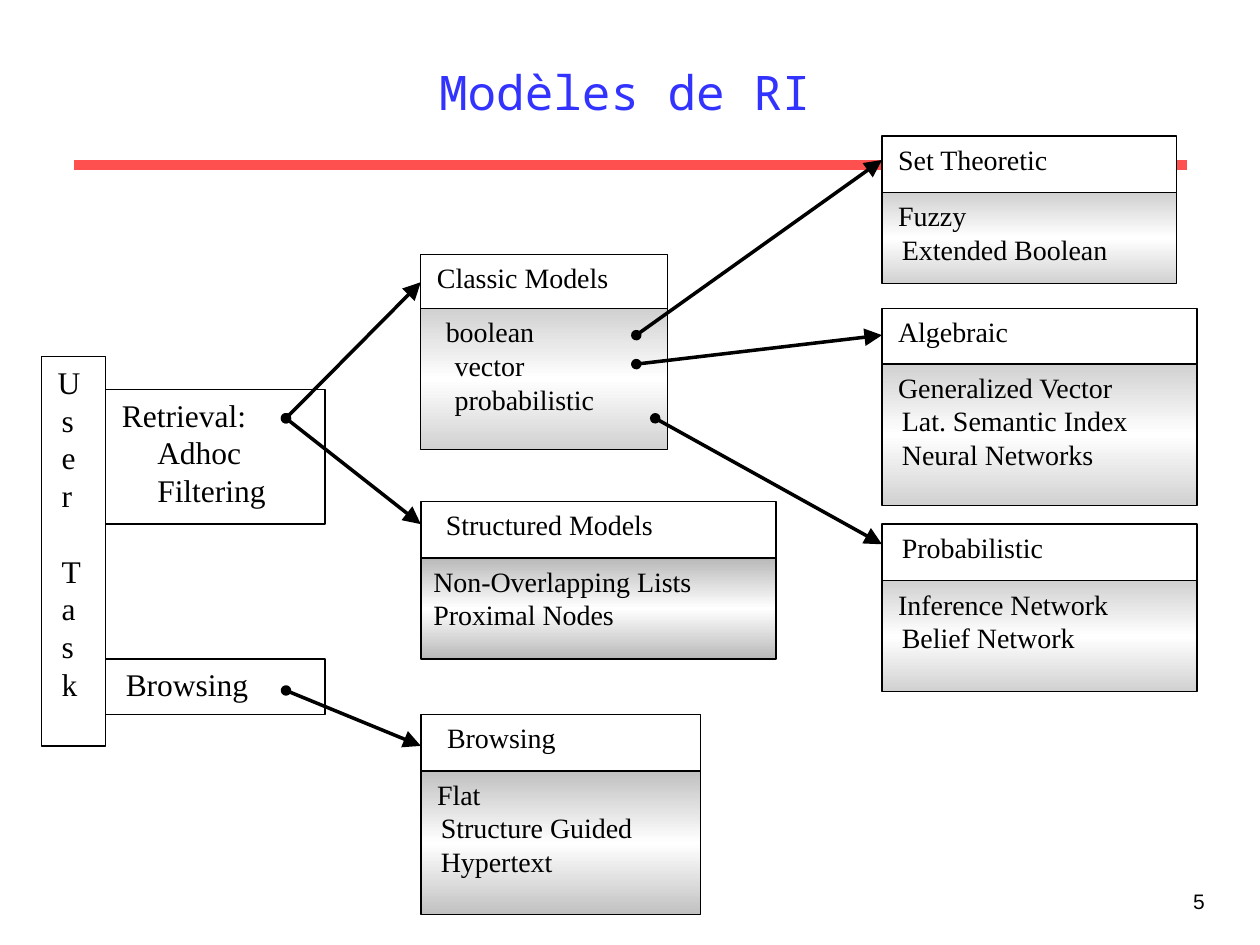
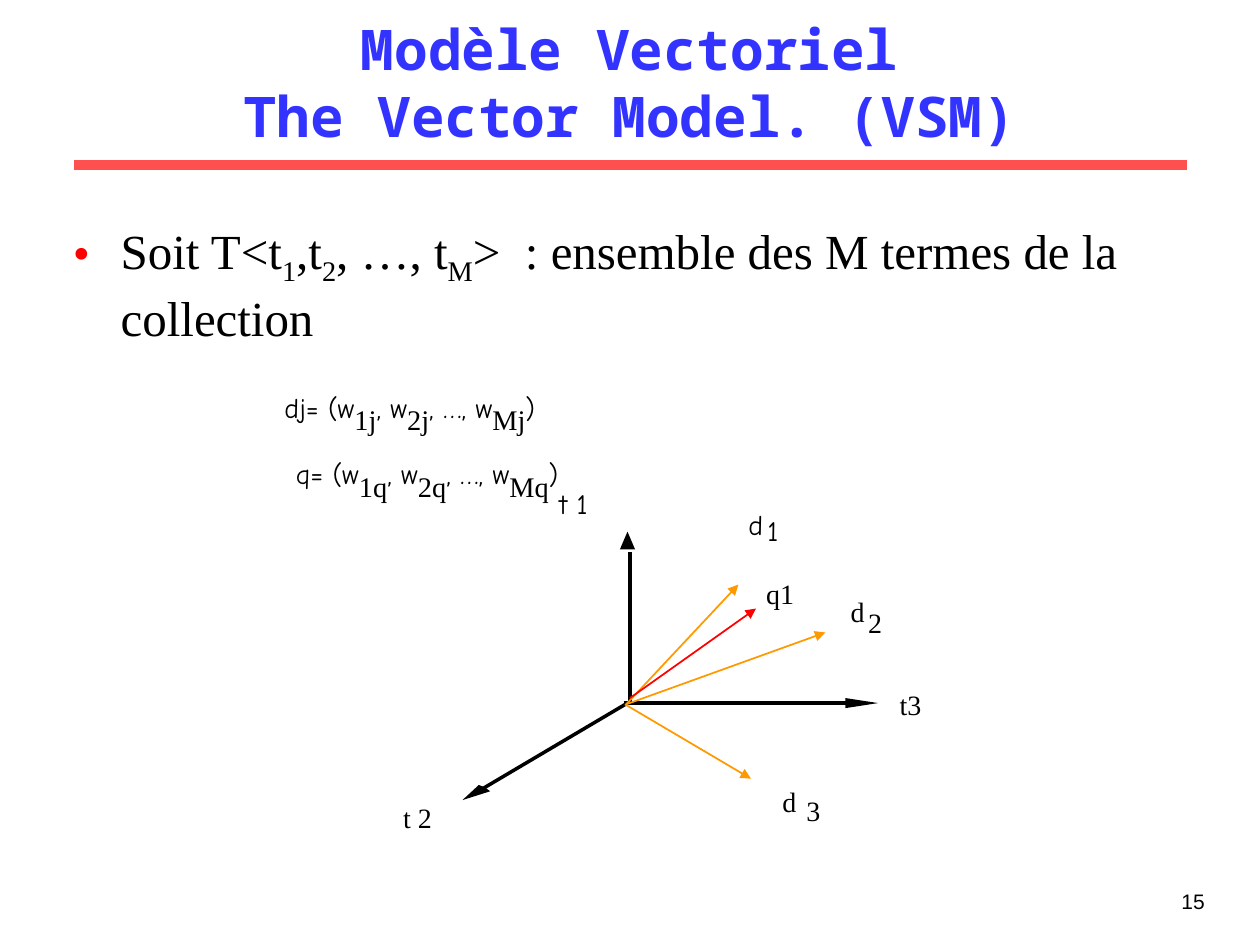
"""Builds two slides on information retrieval models: a model map and the vector model."""
from lxml import etree
from pptx import Presentation
from pptx import util as u
from pptx.dml.color import RGBColor
from pptx.enum import shapes, text
from pptx.oxml.ns import qn

COLORS = {"ink": "000000", "paper": "FFFFFF", "title": "3333FF", "rule": "FF5050",
          "bullet": "FF0000", "query": "FF0000", "document": "FF9900",
          "light": "D1D1D1", "mid": "C1C1C1", "dark": "B9B9B9"}
SERIF, COMIC, MONO, SANS = "Times New Roman", "Comic Neue", "Noto Sans Mono", "Arial"
INSETS = {"margin_left": 0.1, "margin_right": 0.1, "margin_top": 0.05, "margin_bottom": 0.05}


def write(sp, lines, size, font=SERIF, color="ink", bold=False, inset=1, frame={}, para={}):
    """Fills a shape with lines of (indent, runs), each run being (text, format)."""
    tf = sp.text_frame
    margins = {k: u.Inches(v * inset) for k, v in INSETS.items()}
    for k, v in {"word_wrap": True, "vertical_anchor": text.MSO_ANCHOR.TOP, **margins, **frame}.items():
        setattr(tf, k, v)
    for i, (indent, runs) in enumerate(lines):
        p = tf.add_paragraph() if i else tf.paragraphs[0]
        for k, v in {"alignment": text.PP_ALIGN.LEFT, **para}.items():
            setattr(p, k, v)
        p._p.get_or_add_pPr().set("marL", str(u.Inches(indent)))
        for words, extra in runs:
            r = p.add_run()
            r.text = words
            fmt = {"name": font, "size": u.Pt(size), "bold": bold, **extra}
            base = fmt.pop("base", None)
            for k, v in fmt.items():
                setattr(r.font, k, v)
            r.font.color.rgb = RGBColor.from_string(COLORS[color])
            if base:
                r._r.get_or_add_rPr().set("baseline", str(base * 1000))
    return tf


def line(s, ends, color="ink", width=2, head=None, tail=None, tail_size="med"):
    """Draws a straight line with optional ends."""
    cn = s.shapes.add_connector(shapes.MSO_CONNECTOR.STRAIGHT, *map(u.Inches, ends))
    cn.line.color.rgb = RGBColor.from_string(COLORS[color])
    cn.line.width = u.Pt(width)
    for tag, kind, size in (("a:headEnd", head, "med"), ("a:tailEnd", tail, tail_size)):
        if kind:
            etree.SubElement(cn.line._get_or_add_ln(), qn(tag), type=kind, w=size, len=size)
    etree.SubElement(cn._element.spPr, qn("a:effectLst"))


prs = Presentation()
prs.slide_width, prs.slide_height = u.Inches(10), u.Inches(7.5)

titles = [
    ("5", ["Modèles de RI"], (0.67, 0.42, 8.58, 0.59), 27.2, False, 0.9),
    ("15", ["Modèle Vectoriel", "The Vector Model. (VSM)"], (0.75, 0.25, 8.5, 0.98), 32, True, 1.0),
]
for number, title, at, size, bold, spacing in titles:
    s = prs.slides.add_slide(prs.slide_layouts[6])
    line(s, (0.59, 1.31, 9.42, 1.31), "rule", 6)
    sp = s.shapes.add_textbox(*map(u.Inches, (7.58, 7, 2.08, 0.5)))
    write(sp, [(0, [(number, {})])], 12, SANS, para={"alignment": text.PP_ALIGN.RIGHT})
    sp = s.shapes.add_textbox(*map(u.Inches, at))
    write(sp, [(0, [(t, {})]) for t in title], size, MONO, "title", bold,
          frame={"vertical_anchor": text.MSO_ANCHOR.BOTTOM},
          para={"alignment": text.PP_ALIGN.CENTER, "line_spacing": spacing})

model_map, vector = prs.slides

tasks = [
    ((0.84, 3.09, 1.74, 1.07), [(0.03, "Retrieval:"), (0.31, "Adhoc"), (0.31, "Filtering")]),
    ((0.84, 5.23, 1.74, 0.44), [(0.06, "Browsing")]),
    ((0.33, 2.83, 0.51, 3.09), [(0.03, "U")] + [(0.06, c) for c in "serTask"]),
]
boxes = [(model_map, at, lines, 18, None) for at, lines in tasks]

models = [
    (3.34, 3.98, 2.82, 0.45, 0.8, "dark", 0.1, "Structured Models",
     0, 0, ["Non-Overlapping Lists", "Proximal Nodes"]),
    (3.34, 2.02, 1.96, 0.43, 1.12, "light", 0.03, "Classic Models",
     0.1, 0.17, ["boolean", "vector", "probabilistic"]),
    (7, 1.08, 2.34, 0.45, 0.72, "light", 0.03, "Set Theoretic",
     0.03, 0.06, ["Fuzzy", "Extended Boolean"]),
    (7, 4.16, 2.5, 0.45, 0.88, "light", 0.06, "Probabilistic",
     0.03, 0.06, ["Inference Network", "Belief Network"]),
    (7, 2.45, 2.5, 0.44, 1.12, "light", 0.03, "Algebraic",
     0.03, 0.06, ["Generalized Vector", "Lat. Semantic Index", "Neural Networks"]),
    (3.34, 5.67, 2.22, 0.45, 1.14, "mid", 0.11, "Browsing",
     0.03, 0.06, ["Flat", "Structure Guided", "Hypertext"]),
]
for x, y, w, head_h, body_h, shade, indent, head, first, rest, items in models:
    group = model_map.shapes.add_group_shape()
    body = [(rest if i else first, t) for i, t in enumerate(items)]
    boxes += [(group, (x, y, w, head_h), [(indent, head)], 16, None),
              (group, (x, y + head_h, w, body_h), body, 16, shade)]

for parent, at, lines, size, shade in boxes:
    sp = parent.shapes.add_shape(shapes.MSO_SHAPE.RECTANGLE, *map(u.Inches, at))
    sp.shadow.inherit = False
    sp.line.color.rgb = RGBColor.from_string(COLORS["ink"])
    sp.line.width = u.Pt(0.75)
    if shade:
        sp.fill.gradient()
        sp.fill.gradient_angle = 90
        stops = sp._element.spPr.find(".//" + qn("a:gsLst"))
        stops.clear()
        for pos, name in ((0, shade), (50, "paper"), (100, shade)):
            gs = etree.SubElement(stops, qn("a:gs"), pos=str(pos * 1000))
            etree.SubElement(gs, qn("a:srgbClr"), val=COLORS[name])
    else:
        sp.fill.solid()
        sp.fill.fore_color.rgb = RGBColor.from_string(COLORS["paper"])
    tf = write(sp, [(indent, [(t, {})]) for indent, t in lines], size)
    for p in tf.paragraphs:
        if p.text == "T":
            p.space_before = u.Pt(21.5)

for ends in [(5.05, 2.66, 7, 1.27), (5.05, 2.89, 7, 2.66), (5.2, 3.32, 7, 4.32),
             (2.27, 3.32, 3.34, 2.24), (2.27, 3.32, 3.34, 4.16), (2.27, 5.48, 3.34, 5.92)]:
    line(model_map, ends, head="oval", tail="triangle", tail_size="lg")

s = vector
sub = {"base": -25}
sp = s.shapes.add_textbox(*map(u.Inches, (0.48, 1.7, 9.39, 3.83)))
terms = [("Soit T<t", {}), ("1", sub), (",t", {}), ("2", sub), (", …, t", {}), ("M", sub),
         (">  : ensemble des M termes de la collection", {})]
tf = write(sp, [(0.38, terms)], 28, para={"space_before": u.Pt(7)})
pPr = tf.paragraphs[0]._p.get_or_add_pPr()
pPr.set("indent", str(u.Inches(-0.38)))
etree.SubElement(etree.SubElement(pPr, qn("a:buClr")), qn("a:srgbClr"), val=COLORS["bullet"])
etree.SubElement(pPr, qn("a:buFont"), typeface=SERIF)
etree.SubElement(pPr, qn("a:buChar"), char="•")

index = {"name": SERIF, "size": u.Pt(28), **sub}
for name, suffix, at in [("dj", "j", (2.16, 2.88, 4.8, 0.63)), ("q", "q", (2.25, 3.41, 3.54, 0.63))]:
    sp = s.shapes.add_textbox(*map(u.Inches, at))
    weights = [(name + "= (w", {}), ("1" + suffix, index), (", w", {}), ("2" + suffix, index),
               (", …, w", {}), ("M" + suffix, index), (")", {})]
    write(sp, [(0, weights)], 16, COMIC)

axis_heads = [
    [(4.98, 4.22), (5.04, 4.36), (4.92, 4.36)],
    [(6.97, 5.58), (6.71, 5.62), (6.71, 5.54)],
    [(3.67, 6.35), (3.8, 6.23), (3.85, 6.25), (3.89, 6.28)],
]
for points in axis_heads:
    start, *others = [(u.Inches(x), u.Inches(y)) for x, y in points]
    fb = s.shapes.build_freeform(*start)
    fb.add_line_segments(others, close=True)
    sp = fb.convert_to_shape()
    sp.shadow.inherit = False
    sp.fill.solid()
    sp.fill.fore_color.rgb = RGBColor.from_string(COLORS["ink"])
    sp.line.fill.background()

for ends in [(5, 4.38, 5, 5.58), (4.95, 5.58, 6.73, 5.58), (4.98, 5.58, 3.83, 6.26)]:
    line(s, ends)
for ends, color in [((4.97, 5.59, 5.86, 4.64), "document"), ((4.97, 5.59, 6.55, 5.02), "document"),
                    ((4.96, 5.59, 5.96, 6.18), "document"), ((5, 5.54, 6, 4.83), "query")]:
    line(s, ends, color, 1, tail="triangle")

labels = [
    ("d", 5.94, 4.03, 0.12, COMIC), ("1", 6.09, 4.08, 0.09, COMIC), ("t 1", 4.44, 3.86, 0.23, COMIC),
    ("t 2", 3.2, 6.35, 0.25, SERIF), ("t3", 7.14, 5.46, 0.2, SERIF), ("q1", 6.08, 4.58, 0.25, SERIF),
    ("d", 6.75, 4.72, 0.11, SERIF), ("2", 6.89, 4.81, 0.11, SERIF),
    ("d", 6.21, 6.23, 0.11, SERIF), ("3", 6.4, 6.3, 0.11, SERIF),
]
for label, x, y, w, font in labels:
    sp = s.shapes.add_textbox(*map(u.Inches, (x, y, w, 0.27)))
    write(sp, [(0, [(label, {})])], 16, font, inset=0,
          frame={"word_wrap": False, "auto_size": text.MSO_AUTO_SIZE.SHAPE_TO_FIT_TEXT})

prs.save("out.pptx")
